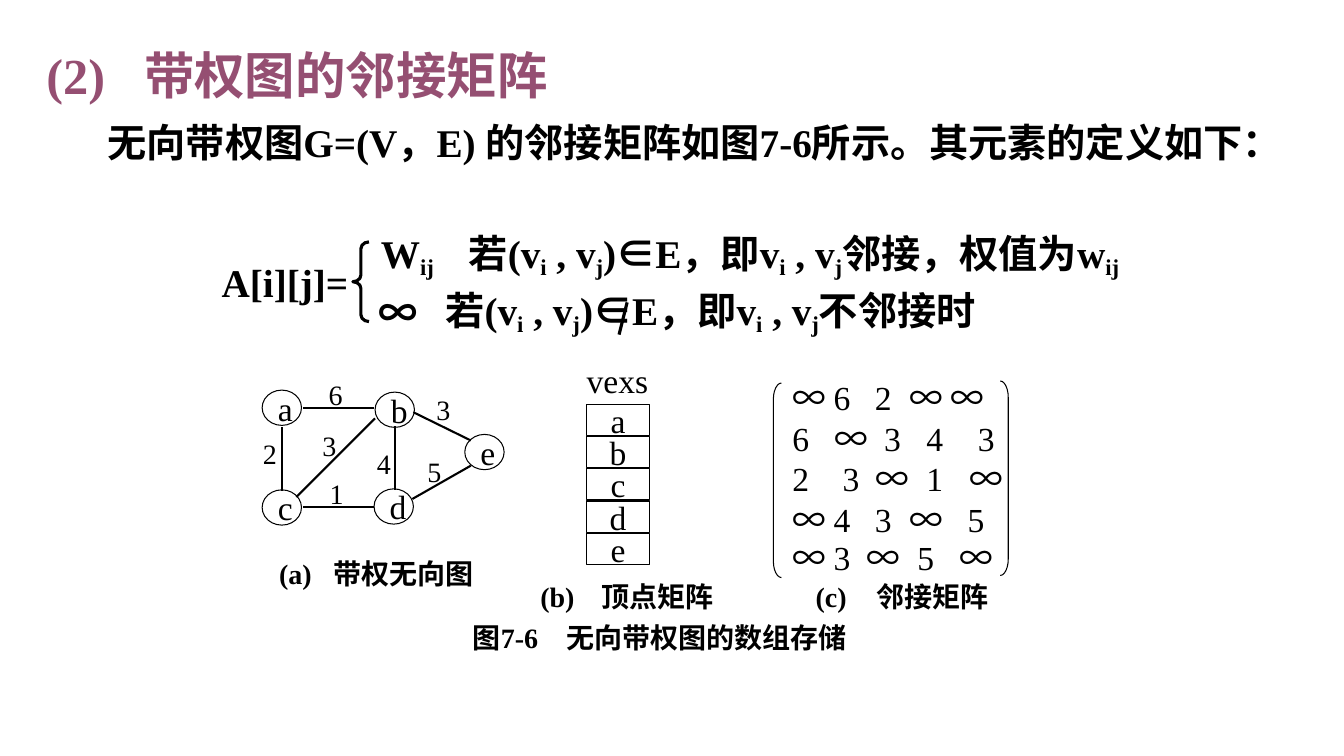
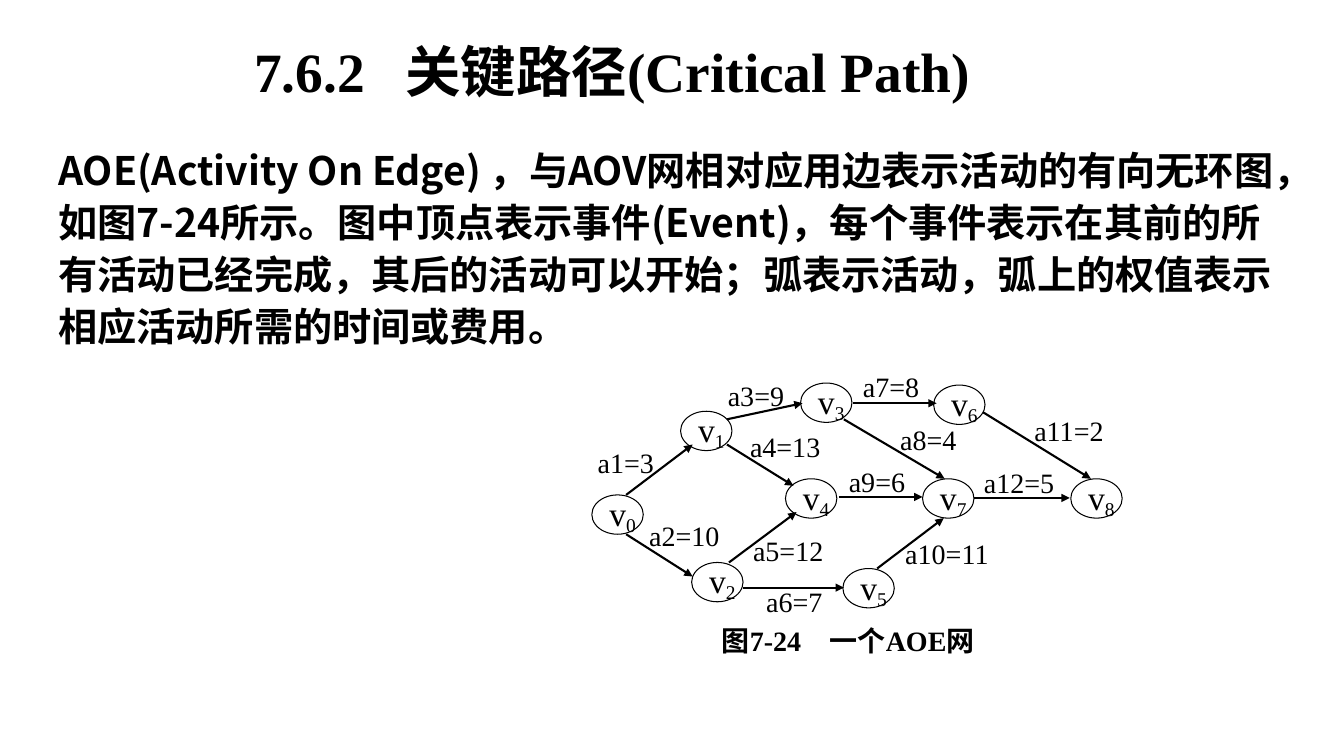
"""Build two slides on weighted graphs: the adjacency matrix and the AOE network."""
import dataclasses
import itertools

import lxml.etree
import pptx
import pptx.dml.color
import pptx.enum.shapes
import pptx.enum.text
import pptx.util
from pptx.oxml.ns import qn

Inches, Pt = pptx.util.Inches, pptx.util.Pt
SHAPE = pptx.enum.shapes.MSO_SHAPE
ALIGN = pptx.enum.text.PP_ALIGN
ANCHOR = pptx.enum.text.MSO_ANCHOR


@dataclasses.dataclass(frozen=True)
class Theme:
    ink: pptx.dml.color.RGBColor = pptx.dml.color.RGBColor.from_string("000000")
    plum: pptx.dml.color.RGBColor = pptx.dml.color.RGBColor.from_string("954F72")
    serif: str = "Times New Roman"
    sans: str = "Noto Sans CJK SC"
    section: float = 39.6
    heading: float = 36
    body: float = 28
    node: float = 24
    label: float = 20
    thin: float = 0.75
    edge: float = 1.5
    heavy: float = 2.25
    title_leading: float = 44
    body_leading: float = 37


THEME = Theme()


def write(shape, text, size, bold=False, stops=(), align=ALIGN.LEFT, leading=None,
          color=THEME.ink, font=THEME.serif, indent=None):
    """Fill a shape with one paragraph; text between underscores is subscript."""
    frame_format = {
        "auto_size": pptx.enum.text.MSO_AUTO_SIZE.NONE,
        "word_wrap": leading is not None,
        "vertical_anchor": ANCHOR.TOP if leading else ANCHOR.MIDDLE,
    }
    for name, value in frame_format.items():
        setattr(shape.text_frame, name, value)
    paragraph = shape.text_frame.paragraphs[0]
    paragraph.alignment = align
    if leading:
        paragraph.line_spacing = Pt(leading)
    properties = paragraph._p.get_or_add_pPr()
    if indent:
        properties.set("indent", str(Inches(indent)))
    if stops:
        tabs = lxml.etree.SubElement(properties, qn("a:tabLst"))
        for stop in stops:
            lxml.etree.SubElement(tabs, qn("a:tab"), pos=str(Inches(stop)), algn="l")
    for position, segment in enumerate(text.split("_")):
        for symbolic, letters in itertools.groupby(segment, lambda letter: letter in "∞∈"):
            run = paragraph.add_run()
            run.text = "".join(letters)
            run_format = {"size": Pt(size), "bold": bold,
                          "name": THEME.sans if symbolic else font}
            for name, value in run_format.items():
                setattr(run.font, name, value)
            run.font.color.rgb = color
            run_properties = run._r.get_or_add_rPr()
            lxml.etree.SubElement(run_properties, qn("a:ea"), typeface=THEME.sans)
            if position % 2:
                run_properties.set("baseline", "-18000")


def outline(slide, kind, at, width=THEME.thin, adjustments=()):
    """Add an unfilled preset shape with a black line."""
    shape = slide.shapes.add_shape(kind, *map(Inches, at))
    shape.shadow.inherit = False
    shape.fill.background()
    shape.line.color.rgb = THEME.ink
    shape.line.width = Pt(width)
    for index, value in enumerate(adjustments):
        shape.adjustments[index] = value
    return shape


deck = pptx.Presentation()
deck.slide_width, deck.slide_height = Inches(13.33), Inches(7.5)

bold = {"bold": True}
formula = {"size": THEME.body, "bold": True}
vertex = {"size": THEME.node}
edge_label = {"size": THEME.label}
caption = {"size": THEME.label, "bold": True}

matrix_rows = [
    (3.76, "62∞∞", (8.17, 8.58, 8.92, 9.33), "∞"),
    (4.17, "∞343", (8.18, 8.67, 9.09, 9.6), "6"),
    (4.57, "3∞1∞", (8.26, 8.59, 9.09, 9.52), "2"),
    (4.97, "43∞5", (8.17, 8.58, 8.92, 9.5), "∞"),
    (5.35, "3∞5∞", (8.17, 8.5, 9, 9.42), "∞"),
]
matrix_entries = [(entry, (left, top, 0.5, 0.35), vertex)
                  for top, entries, lefts, first in matrix_rows
                  for entry, left in zip(first + entries, (7.76, *lefts))]
weights = [("3", 4.23, 3.91), ("5", 4.14, 4.52), ("4", 3.64, 4.44), ("1", 3.17, 4.74),
           ("2", 2.51, 4.34), ("6", 3.16, 3.76), ("3", 3.1, 4.26)]
activities = [
    ("a1=3", 5.83, 4.41), ("a2=10", 6.34, 5.14), ("a3=9", 7.12, 3.75),
    ("a4=13", 7.34, 4.25), ("a5=12", 7.37, 5.28), ("a6=7", 7.5, 5.79),
    ("a7=8", 8.46, 3.66), ("a8=4", 8.83, 4.18), ("a9=6", 8.32, 4.6),
    ("a10=11", 8.88, 5.31), ("a11=2", 10.16, 4.09), ("a12=5", 9.66, 4.61),
]

pages = [
    {
        "title": ("(2)\t带权图的邻接矩阵", (0.36, 0.38, 12.58, 0.7),
                  {"size": THEME.heading, "color": THEME.plum, "stops": (0.97,)}),
        "body": ("无向带权图G=(V，E) 的邻接矩阵如图7-6所示。其元素的定义如下：",
                 (0.36, 1.08, 12.5, 1.1), {"indent": 0.61}),
        "node_size": (0.39, 0.35),
        "nodes": [("a", 2.6, 3.87), ("b", 3.72, 3.89), ("c", 2.6, 4.86),
                  ("d", 3.71, 4.85), ("e", 4.61, 4.31)],
        "edges": [(2.8, 4.24, 2.8, 4.87), (3.92, 4.23, 3.92, 4.86),
                  (3.01, 4.05, 3.71, 4.05), (3.01, 5.03, 3.71, 5.03),
                  (2.94, 4.93, 3.72, 4.15), (4.09, 4.95, 4.67, 4.62),
                  (4.67, 4.37, 4.1, 4.09)],
        "directed": False,
        "strikes": [(6.22, 3, 6.14, 3.32)],
        "cells": [(letter, (5.82, 4.01 + 0.32 * row, 0.62, 0.31))
                  for row, letter in enumerate("abcde")],
        "brackets": [
            (SHAPE.LEFT_BRACKET, (7.67, 3.8, 0.08, 1.93), THEME.thin, (2.06,)),
            (SHAPE.RIGHT_BRACKET, (9.92, 3.78, 0.08, 1.93), THEME.thin, (2.06,)),
            (SHAPE.LEFT_BRACE, (3.5, 2.4, 0.16, 0.79), THEME.heavy, (0.42, 0.5)),
        ],
        "labels": [
            ("A[i][j]=", (2.1, 2.56, 1.3, 0.47), formula),
            ("W_ij", (3.68, 2.27, 0.8, 0.51), formula),
            ("若(v_i_ , v_j_)∈E，即v_i_ , v_j_邻接，权值为w_ij",
             (4.55, 2.27, 7.2, 0.51), formula),
            ("∞", (3.66, 2.84, 0.6, 0.51), formula),
            ("若(v_i_ , v_j_)∈E，即v_i_ , v_j_不邻接时", (4.32, 2.84, 5.9, 0.51), formula),
            ("vexs", (5.72, 3.59, 0.79, 0.35), vertex),
            ("(a)\t带权无向图", (2.67, 5.51, 1.97, 0.35), caption | {"stops": (0.54,)}),
            ("(b)\t顶点矩阵", (5.26, 5.74, 1.81, 0.35), caption | {"stops": (0.61,)}),
            ("(c)\t邻接矩阵", (7.99, 5.74, 1.85, 0.35), caption | {"stops": (0.6,)}),
            ("图7-6\t无向带权图的数组存储", (4.59, 6.15, 3.7, 0.35),
             caption | {"stops": (0.93,)}),
            *((text, (left, top, 0.31, 0.31), edge_label) for text, left, top in weights),
            *matrix_entries,
        ],
    },
    {
        "title": ("7.6.2\t关键路径(Critical Path)", (2.42, 0.37, 8, 0.75),
                  {"size": THEME.section, "stops": (1.5,)}),
        "body": ("AOE(Activity On Edge) ，与AOV网相对应用边表示活动的有向无环图，"
                 "如图7-24所示。图中顶点表示事件(Event)，每个事件表示在其前的所有活动已经完成，"
                 "其后的活动可以开始；弧表示活动，弧上的权值表示相应活动所需的时间或费用。",
                 (0.48, 1.36, 12.37, 2.3), {"font": THEME.sans}),
        "node_size": (0.51, 0.39),
        "nodes": [("v_0", 5.87, 4.91), ("v_1", 6.75, 4.08), ("v_2", 6.86, 5.58),
                  ("v_3", 7.94, 3.8), ("v_4", 7.79, 4.75), ("v_5", 8.36, 5.64),
                  ("v_6", 9.26, 3.82), ("v_7", 9.15, 4.75), ("v_8", 10.62, 4.75)],
        "edges": [(6.21, 4.91, 6.87, 4.41), (6.21, 5.3, 6.87, 5.72),
                  (7.21, 4.16, 7.96, 4), (7.21, 4.41, 7.87, 4.82),
                  (7.23, 5.58, 7.9, 5.08), (7.37, 5.83, 8.37, 5.83),
                  (8.46, 4, 9.29, 4), (8.37, 4.16, 9.37, 4.75),
                  (8.32, 4.93, 9.15, 4.93), (8.7, 5.64, 9.36, 5.14),
                  (9.75, 4.09, 10.82, 4.75), (9.66, 4.94, 10.61, 4.94)],
        "directed": True,
        "strikes": [],
        "cells": [],
        "brackets": [],
        "labels": [
            *((text, (left, top, 0.79, 0.35), edge_label) for text, left, top in activities),
            ("图7-24\t一个AOE网", (7.06, 6.16, 2.48, 0.39), caption | {"stops": (1.07,)}),
        ],
    },
]

for page in pages:
    slide = deck.slides.add_slide(deck.slide_layouts[5])

    text, at, style = page["title"]
    title = slide.shapes.title
    for name, value in zip(("left", "top", "width", "height"), at):
        setattr(title, name, Inches(value))
    write(title, text, leading=THEME.title_leading, **bold, **style)

    text, at, style = page["body"]
    body = slide.shapes.add_textbox(*map(Inches, at))
    write(body, text, THEME.body, leading=THEME.body_leading, **bold, **style)

    for text, left, top in page["nodes"]:
        write(outline(slide, SHAPE.OVAL, (left, top, *page["node_size"])), text, **vertex)

    for text, at in page["cells"]:
        write(outline(slide, SHAPE.RECTANGLE, at), text, align=ALIGN.CENTER, **vertex)

    for bracket in page["brackets"]:
        outline(slide, *bracket)

    strokes = [(ends, THEME.edge, page["directed"]) for ends in page["edges"]]
    strokes += [(ends, THEME.heavy, False) for ends in page["strikes"]]
    for ends, width, arrow in strokes:
        stroke = slide.shapes.add_connector(
            pptx.enum.shapes.MSO_CONNECTOR.STRAIGHT, *map(Inches, ends))
        stroke.line.color.rgb = THEME.ink
        stroke.line.width = Pt(width)
        properties = stroke._element.spPr
        if arrow:
            lxml.etree.SubElement(properties.find(qn("a:ln")), qn("a:tailEnd"), type="triangle")
        lxml.etree.SubElement(properties, qn("a:effectLst"))

    for text, at, style in page["labels"]:
        write(slide.shapes.add_textbox(*map(Inches, at)), text, **style)

deck.save("out.pptx")
